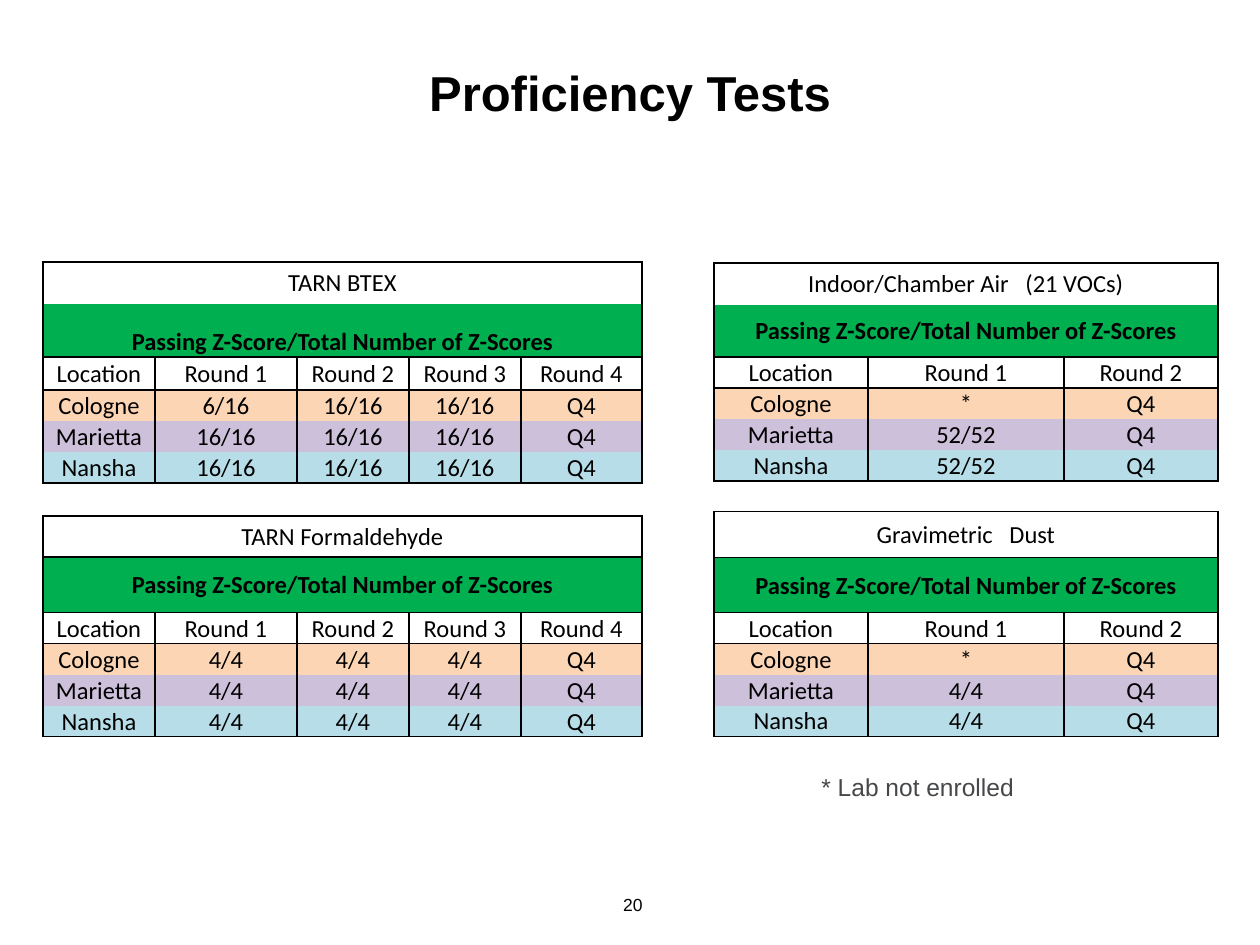
import pptx
import pptx.util
import pptx.dml.color
import pptx.enum.text
import pptx.oxml.ns
import lxml.etree

RGB = pptx.dml.color.RGBColor
ALIGN = pptx.enum.text.PP_ALIGN
ANCHOR = pptx.enum.text.MSO_ANCHOR
BLACK = RGB(0x00, 0x00, 0x00)
GRAY = RGB(0x46, 0x47, 0x49)
GREEN = RGB(0x00, 0xB0, 0x50)
PEACH = RGB(0xFC, 0xD5, 0xB4)
LILAC = RGB(0xCC, 0xC0, 0xDA)
AQUA = RGB(0xB7, 0xDE, 0xE8)

SCALE = 914400 / 126
NO_STYLE = "{2D5ABB26-0587-4C30-8999-92F81FD0307C}"
CAPTION = "Passing Z-Score/Total Number of Z-Scores"
LABS = [("Cologne", PEACH), ("Marietta", LILAC), ("Nansha", AQUA)]
BORDER_TAGS = {"l": "a:lnL", "r": "a:lnR", "t": "a:lnT", "b": "a:lnB"}
qn = pptx.oxml.ns.qn


def px(n):
    return pptx.util.Emu(round(n * SCALE))


def write(tf, text, size=14, font="Arial", color=BLACK, bold=False,
          align=ALIGN.LEFT, anchor=ANCHOR.TOP):
    tf.word_wrap = True
    tf.vertical_anchor = anchor
    p = tf.paragraphs[0]
    p.alignment = align
    r = p.add_run()
    r.text = text
    r.font.size = pptx.util.Pt(size)
    r.font.name = font
    r.font.bold = bold
    r.font.color.rgb = color


def set_borders(cell, sides):
    tcPr = cell._tc.get_or_add_tcPr()
    lines = []
    for side, tag in BORDER_TAGS.items():
        if side in sides:
            ln = lxml.etree.Element(qn(tag), w=str(pptx.util.Pt(1)))
            fill = lxml.etree.SubElement(ln, qn("a:solidFill"))
            lxml.etree.SubElement(fill, qn("a:srgbClr"), val=str(BLACK))
            lines.append(ln)
    for i, ln in enumerate(lines):
        tcPr.insert(i, ln)


def format_cell(cell, text, sides, fill=None, bold=False, anchor=ANCHOR.MIDDLE):
    cell.margin_left = cell.margin_right = cell.margin_top = px(1)
    cell.margin_bottom = 0
    cell.vertical_anchor = anchor
    if fill is None:
        cell.fill.background()
    else:
        cell.fill.solid()
        cell.fill.fore_color.rgb = fill
    if text:
        p = cell.text_frame.paragraphs[0]
        p.alignment = ALIGN.CENTER
        r = p.add_run()
        r.text = text
        r.font.size = pptx.util.Pt(14)
        r.font.name = "Calibri"
        r.font.bold = bold
        r.font.color.rgb = BLACK
    else:
        p = cell.text_frame.paragraphs[0]
        lxml.etree.SubElement(p._p, qn("a:endParaRPr"), sz="1400")
    set_borders(cell, sides)


def fill_panel(table, top, title, scores, caption_anchor):
    n = len(table.columns)
    bands = [(title, "ltr", {}),
             (CAPTION, "lrb", dict(fill=GREEN, bold=True, anchor=caption_anchor))]
    for i, (text, sides, style) in enumerate(bands):
        cell = table.cell(top + i, 0)
        cell.merge(table.cell(top + i, n - 1))
        format_cell(cell, text, sides, **style)
    heads = ["Location"] + [f"Round {c}" for c in range(1, n)]
    for c, head in enumerate(heads):
        format_cell(table.cell(top + 2, c), head, "ltr")
    for i, ((lab, color), row) in enumerate(zip(LABS, scores)):
        sides = "lrb" if i == len(LABS) - 1 else "lr"
        for c, text in enumerate([lab] + row):
            format_cell(table.cell(top + 3 + i, c), text, sides, fill=color)


def add_results(s, x, y, widths, heights, panels):
    frame = s.shapes.add_table(len(heights), len(widths), px(x), px(y),
                               px(sum(widths)), px(sum(heights)))
    table = frame.table
    table.first_row = table.horz_banding = False
    table._tbl.tblPr.find(qn("a:tableStyleId")).text = NO_STYLE
    for col, w in zip(table.columns, widths):
        col.width = px(w)
    for row, h in zip(table.rows, heights):
        row.height = px(h)
    for i, panel in enumerate(panels):
        fill_panel(table, 7 * i, *panel)
    for c in range(len(widths)):
        format_cell(table.cell(6, c), "", "tb")


def add_title(s, x, y, w, h):
    sp = s.shapes.title
    sp.left, sp.top, sp.width, sp.height = px(x), px(y), px(w), px(h)
    write(sp.text_frame, "Proficiency Tests", size=28, bold=True,
          align=ALIGN.CENTER, anchor=ANCHOR.MIDDLE)


def add_label(s, x, y, w, h, text, **style):
    sp = s.shapes.add_textbox(px(x), px(y), px(w), px(h))
    write(sp.text_frame, text, **style)


def main():
    prs = pptx.Presentation()
    prs.slide_width, prs.slide_height = px(1260), px(945)
    s = prs.slides.add_slide(prs.slide_layouts[5])
    add_label(s, 567, 880, 88, 50, "20", size=10, align=ALIGN.RIGHT,
              anchor=ANCHOR.MIDDLE)
    add_title(s, 0, 56, 1260, 72)
    add_results(
        s, 43, 262, [112, 142, 112, 112, 121],
        [42, 53, 33, 31, 31, 31, 33, 41, 56, 31, 31, 31, 31],
        [("TARN BTEX",
          [["6/16", "16/16", "16/16", "Q4"]] + [["16/16"] * 3 + ["Q4"]] * 2,
          ANCHOR.BOTTOM),
         ("TARN Formaldehyde", [["4/4"] * 3 + ["Q4"]] * 3, ANCHOR.MIDDLE)])
    add_results(
        s, 714, 263, [154, 196, 154],
        [42, 52, 31, 31, 31, 31, 31, 46, 55, 31, 31, 31, 31],
        [("Indoor/Chamber Air   (21 VOCs)",
          [["*", "Q4"]] + [["52/52", "Q4"]] * 2, ANCHOR.MIDDLE),
         ("Gravimetric   Dust",
          [["*", "Q4"]] + [["4/4", "Q4"]] * 2, ANCHOR.MIDDLE)])
    add_label(s, 809, 766, 284, 43, "* Lab not enrolled", color=GRAY)
    prs.save("out.pptx")


if __name__ == "__main__":
    main()
